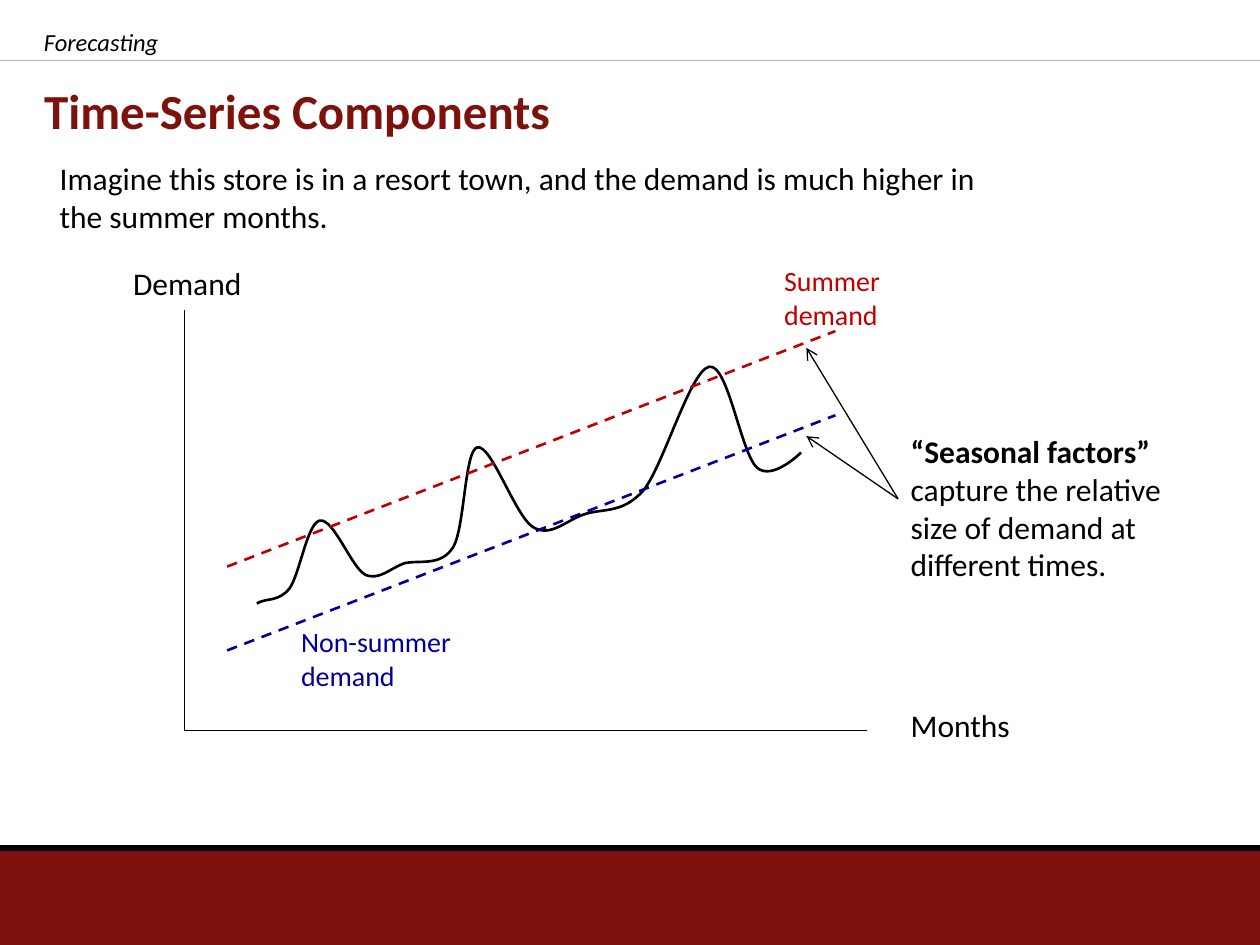
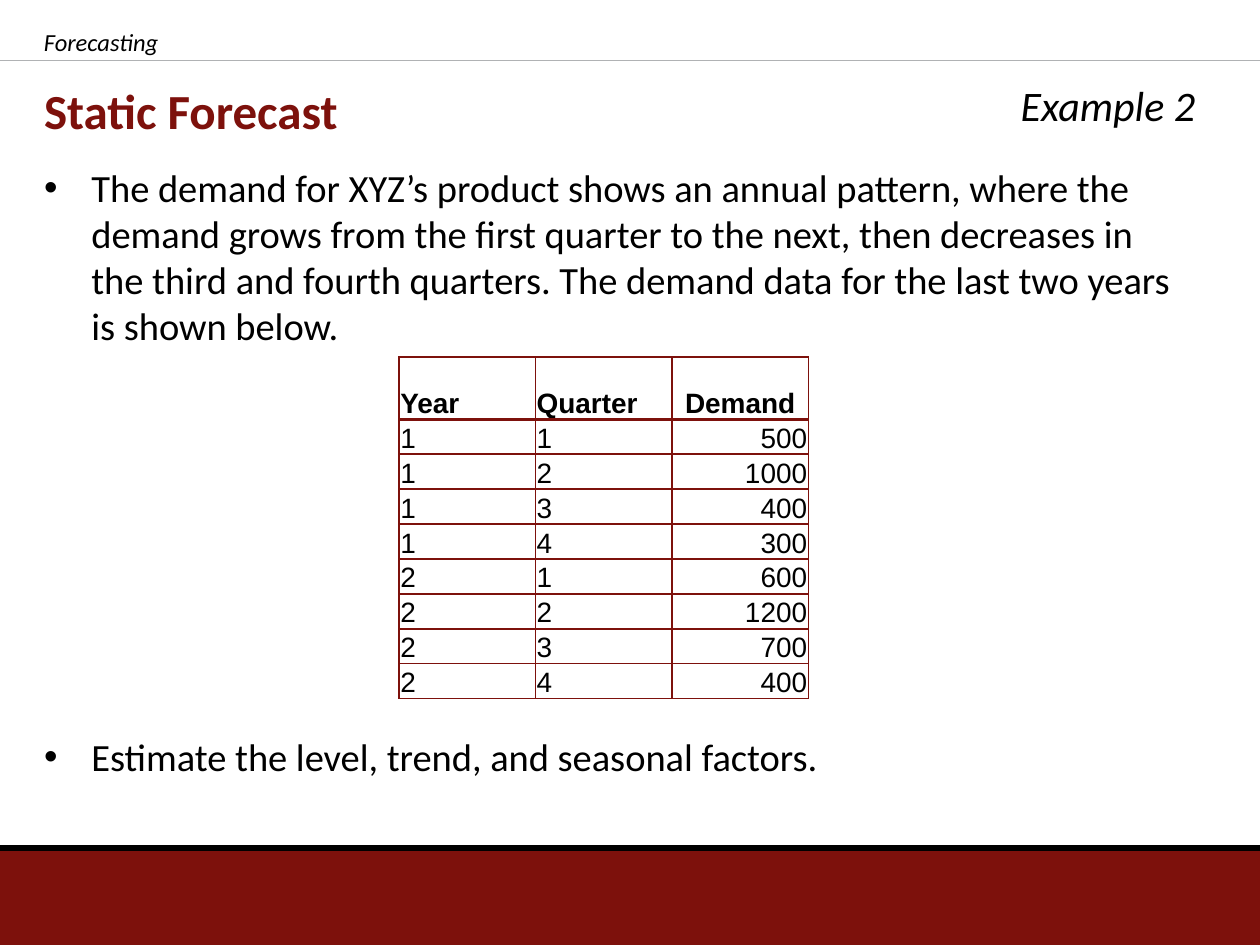
"""Builds two forecasting slides: seasonal demand components and a static forecast example."""
import math

from lxml import etree
from pptx import Presentation
from pptx.dml.color import RGBColor
from pptx.enum import dml, shapes, text
from pptx.oxml import ns
from pptx.util import Pt

COLORS = {"maroon": "7D110C", "black": "000000", "gray": "B0B2B4",
          "red": "C00000", "blue": "000099"}
LEFT, CENTER, RIGHT = text.PP_ALIGN.LEFT, text.PP_ALIGN.CENTER, text.PP_ALIGN.RIGHT
WIDTH, HEIGHT = 720, 540
TITLE_BOX = (18, 42, 662, 42)
HEADER = "Forecasting"
HEADER_BOX = (18, 12, 390, 24)

LABELS = [
    ("Imagine this store is in a resort town, and the demand is much higher in the summer months.",
     (27, 87.4, 546, 51), {}),
    ("Months", (513.3, 399.6, 72, 29), {"wrap": False}),
    ("Demand", (69, 147.5, 77, 29), {"wrap": False}),
    ([("“Seasonal factors”", True),
      (" capture the relative size of demand at different times.", False)],
     (513.3, 243.3, 161, 94), {}),
    ("Summer demand", (441, 147.3, 72, 46), {"size": 16, "color": "red"}),
    ("Non-summer demand", (165, 353.3, 114, 46), {"size": 16, "color": "blue"}),
]
ORIGIN = (105.3, 417.5)
FACTORS = (513.2, 285.1)
LINES = [
    ((ORIGIN[0], 177), ORIGIN, {}),
    (ORIGIN, (495.5, ORIGIN[1]), {}),
    ((129.8, 323.8), (477.4, 189.2), {"color": "red", "width": 1.5, "dash": True}),
    ((129.8, 371.7), (477.4, 237.3), {"color": "blue", "width": 1.5, "dash": True}),
    (FACTORS, (460.8, 249.2), {"arrow": True}),
    (FACTORS, (460.8, 198.8), {"arrow": True}),
]
CURVE_TILT = 345
CURVE_CENTER = (295.1, 275.6)
DEMAND_START = (146.9, 344.8)
DEMAND_CURVES = [
    ((152.6, 341.3), (159.1, 344.2), (165.6, 336.2)),
    ((171.4, 328.3), (175.7, 298.8), (182.9, 297.4)),
    ((190.8, 295.9), (200.9, 324), (208.8, 328.3)),
    ((216.7, 331.9), (223.2, 324.7), (231.1, 321.8)),
    ((239.8, 319.7), (252, 324), (259.2, 312.5)),
    ((265.7, 301.7), (265.7, 257), (272.9, 255.6)),
    ((280.8, 253.4), (294.5, 294.5), (304.6, 301)),
    ((314.6, 307.4), (323.3, 297.4), (334.1, 293.8)),
    ((344.9, 290.2), (355.7, 293.8), (367.9, 280.1)),
    ((379.4, 265.7), (394.6, 211.7), (405.4, 209.5)),
    ((416.2, 207.4), (423.4, 258.5), (432.7, 267.1)),
    ((441.4, 275), (457.9, 258.5), (457.9, 258.5)),
]

BULLETS = [
    "The demand for XYZ’s product shows an annual pattern, where the demand grows from the "
    "first quarter to the next, then decreases in the third and fourth quarters. The demand "
    "data for the last two years is shown below.",
    "Estimate the level, trend, and seasonal factors.",
]
BODY_BOX = (18, 90, 662, 374)
BULLET_GAP = 219.5
BULLET_INDENT = 27
EXAMPLE_BOX = (528, 42, 162, 36)
TABLE_HEAD = ("Year", "Quarter", "Demand")
DEMAND = {1: (500, 1000, 400, 300), 2: (600, 1200, 700, 400)}
TABLE_AT = (228, 204)
COL_WIDTH, HEAD_HEIGHT, ROW_HEIGHT = 78, 35.6, 19.95


def rgb(name):
    return RGBColor.from_string(COLORS[name])


def place(shape, box):
    shape.left, shape.top, shape.width, shape.height = map(Pt, box)


def write(p, content, size=18, color="black", font="Calibri", bold=False, italic=False,
          align=LEFT):
    p.alignment = align
    runs = [(content, bold)] if isinstance(content, str) else content
    for part, heavy in runs:
        r = p.add_run()
        r.text = part
        r.font.name, r.font.size = font, Pt(size)
        r.font.bold, r.font.italic = heavy, italic
        r.font.color.rgb = rgb(color)


def add_label(s, content, box, wrap=True, **fmt):
    tf = s.shapes.add_textbox(*map(Pt, box)).text_frame
    tf.word_wrap = wrap
    write(tf.paragraphs[0], content, **fmt)


def add_line(s, start, end, color="black", width=0.75, dash=False, arrow=False):
    c = s.shapes.add_connector(shapes.MSO_CONNECTOR.STRAIGHT, *map(Pt, (*start, *end)))
    c.line.color.rgb, c.line.width = rgb(color), Pt(width)
    if dash:
        c.line.dash_style = dml.MSO_LINE.DASH
    if arrow:
        etree.SubElement(c.line._get_or_add_ln(), ns.qn("a:tailEnd"), type="arrow")
    etree.SubElement(c.element.spPr, ns.qn("a:effectLst"))
    return c


def add_master_bands(prs, s):
    band = s.shapes.add_shape(shapes.MSO_SHAPE.RECTANGLE, *map(Pt, (0, 486, WIDTH, 54)))
    band.shadow.inherit = False
    band.fill.solid()
    band.fill.fore_color.rgb = rgb("maroon")
    band.line.fill.background()
    rule = add_line(s, (0, 34.7), (WIDTH, 34.7), color="gray")
    edge = add_line(s, (0, 484.6), (WIDTH, 484.6), width=3.75)
    for i, shape in enumerate((band, rule, edge), 101):
        shape.element.xpath(".//p:cNvPr")[0].set("id", str(i))
        prs.slide_master.shapes.element.append(shape.element)


def add_slide(prs, layout, title):
    s = prs.slides.add_slide(prs.slide_layouts[layout])
    place(s.shapes.title, TITLE_BOX)
    tf = s.shapes.title.text_frame
    tf.auto_size = text.MSO_AUTO_SIZE.NONE
    tf.vertical_anchor = text.MSO_ANCHOR.MIDDLE
    write(tf.paragraphs[0], title, size=28, color="maroon", bold=True)
    return s


def add_header(s):
    add_label(s, HEADER, HEADER_BOX, size=14, italic=True)


def level(point):
    angle = math.radians(360 - CURVE_TILT)
    dx, dy = (v - c for v, c in zip(point, CURVE_CENTER))
    return (Pt(CURVE_CENTER[0] + dx * math.cos(angle) - dy * math.sin(angle)),
            Pt(CURVE_CENTER[1] + dx * math.sin(angle) + dy * math.cos(angle)))


def add_demand_curve(s):
    builder = s.shapes.build_freeform(*level(DEMAND_START))
    builder.add_line_segments([level(p) for curve in DEMAND_CURVES for p in curve], close=False)
    curve = builder.convert_to_shape()
    segments = curve.element.xpath(".//a:lnTo")
    for i in range(0, len(segments), 3):
        bezier = etree.Element(ns.qn("a:cubicBezTo"))
        segments[i].addprevious(bezier)
        for segment in segments[i:i + 3]:
            bezier.append(segment[0])
            segment.getparent().remove(segment)
    curve.rotation = CURVE_TILT
    curve.shadow.inherit = False
    curve.fill.background()
    curve.line.color.rgb, curve.line.width = rgb("black"), Pt(1.5)


def add_bullets(s):
    body = s.placeholders[1]
    place(body, BODY_BOX)
    tf = body.text_frame
    tf.auto_size = text.MSO_AUTO_SIZE.NONE
    for i, item in enumerate(BULLETS):
        p = tf.add_paragraph() if i else tf.paragraphs[0]
        pPr = p._p.get_or_add_pPr()
        pPr.set("marL", str(Pt(BULLET_INDENT)))
        pPr.set("indent", str(-Pt(BULLET_INDENT)))
        etree.SubElement(pPr, ns.qn("a:buChar"), char="•")
        p.space_before = Pt(BULLET_GAP if i else 0)
        write(p, item, size=22)


def set_borders(cell, bottom):
    tcPr = cell._tc.get_or_add_tcPr()
    for i, (side, width) in enumerate((("L", 1), ("R", 1), ("T", 1), ("B", bottom))):
        ln = etree.Element(ns.qn("a:ln" + side), w=str(Pt(width)))
        fill = etree.SubElement(ln, ns.qn("a:solidFill"))
        etree.SubElement(fill, ns.qn("a:srgbClr"), val=COLORS["maroon"])
        tcPr.insert(i, ln)


def add_demand_table(s):
    rows = [TABLE_HEAD] + [(year, quarter, value) for year, values in DEMAND.items()
                           for quarter, value in enumerate(values, 1)]
    size = (COL_WIDTH * len(TABLE_HEAD), HEAD_HEIGHT + ROW_HEIGHT * (len(rows) - 1))
    table = s.shapes.add_table(len(rows), len(TABLE_HEAD), *map(Pt, TABLE_AT + size)).table
    table.first_row = table.horz_banding = False
    for col in table.columns:
        col.width = Pt(COL_WIDTH)
    for i, row in enumerate(rows):
        head = i == 0
        table.rows[i].height = Pt(HEAD_HEIGHT if head else ROW_HEIGHT)
        for j, value in enumerate(row):
            cell = table.cell(i, j)
            cell.fill.background()
            cell.vertical_anchor = text.MSO_ANCHOR.BOTTOM
            cell.margin_left = cell.margin_right = cell.margin_top = Pt(0.75)
            cell.margin_bottom = 0
            align = LEFT if j < 2 else CENTER if head else RIGHT
            write(cell.text_frame.paragraphs[0], str(value), size=16, font="Arial",
                  bold=head, align=align)
            set_borders(cell, 2 if head else 1)


def main():
    prs = Presentation()
    prs.slide_width, prs.slide_height = Pt(WIDTH), Pt(HEIGHT)

    s = add_slide(prs, 5, "Time-Series Components")
    add_master_bands(prs, s)
    intro, *chart_labels = LABELS
    for content, box, fmt in LABELS:
        add_label(s, content, box, **fmt)
    add_demand_curve(s)
    for start, end, fmt in LINES:
        add_line(s, start, end, **fmt)
    add_header(s)

    s = add_slide(prs, 1, "Static Forecast")
    add_bullets(s)
    add_label(s, "Example 2", EXAMPLE_BOX, size=24, italic=True, align=RIGHT)
    add_demand_table(s)
    add_header(s)

    prs.save("out.pptx")


if __name__ == "__main__":
    main()
